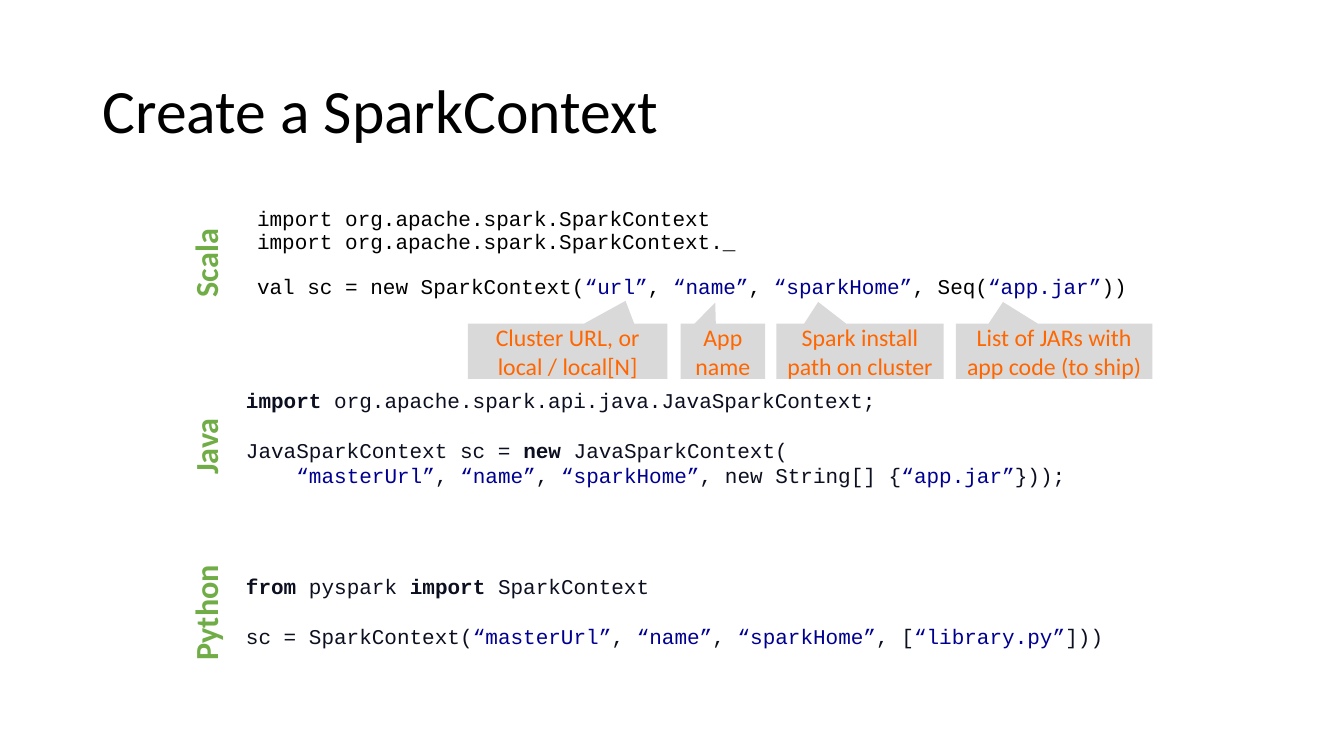
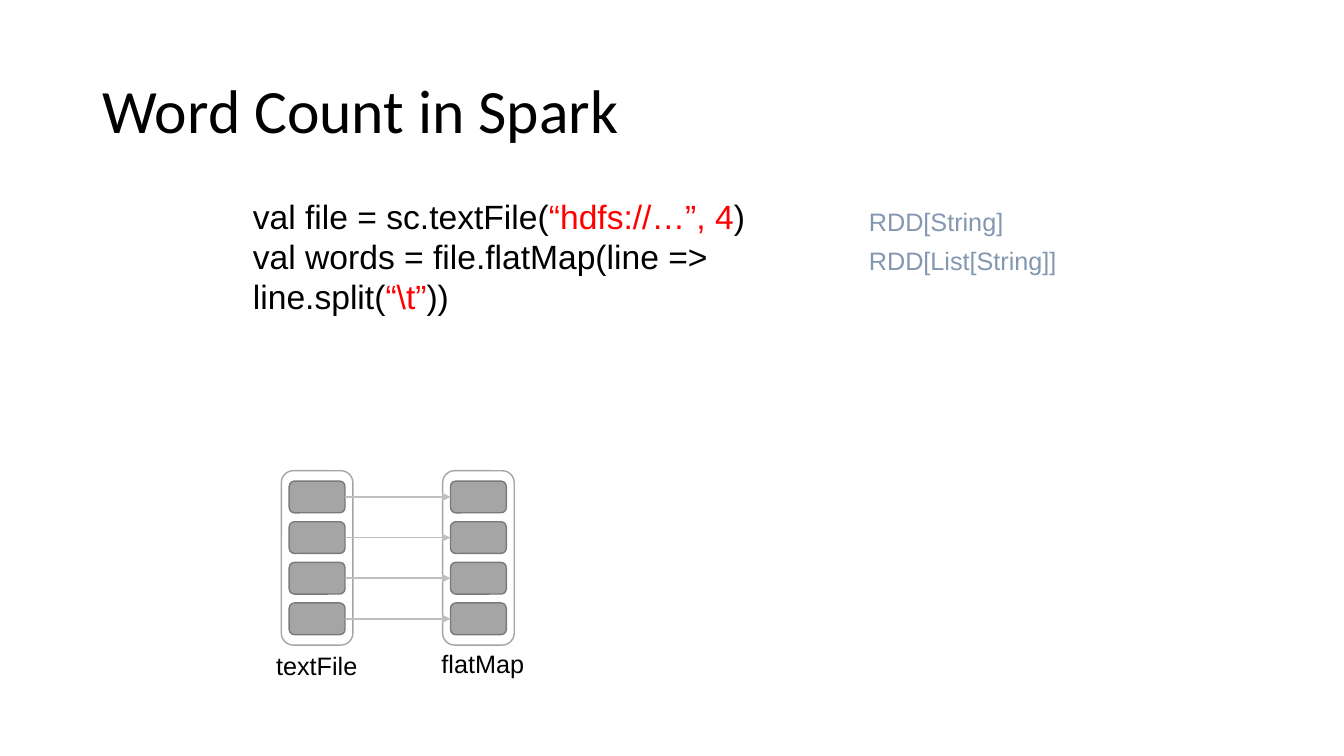
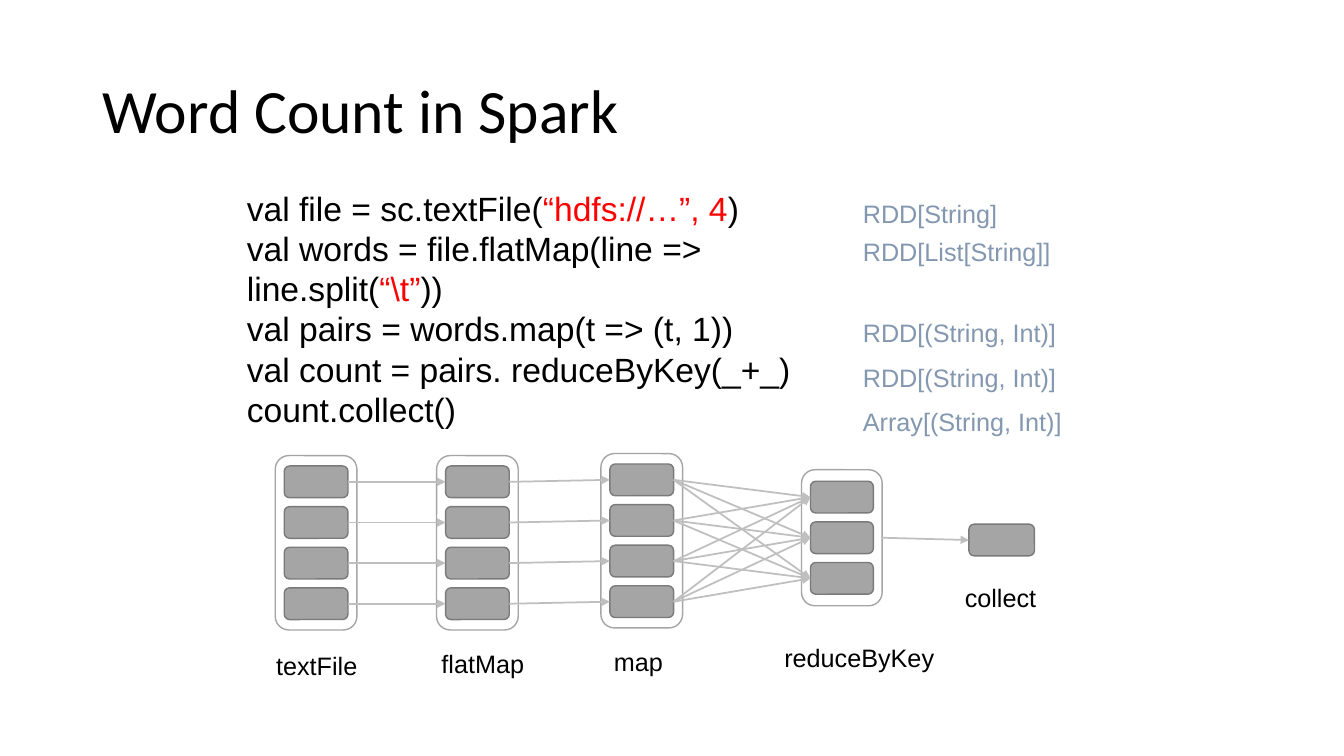
from itertools import product

from lxml.etree import SubElement
from pptx import Presentation
from pptx.dml.color import RGBColor
from pptx.enum.shapes import MSO_CONNECTOR, MSO_SHAPE
from pptx.enum.text import MSO_ANCHOR, PP_ALIGN
from pptx.oxml.ns import qn
from pptx.util import Inches, Pt

WIDTH, HEIGHT = 13.33, 7.5
CELL = HEIGHT / 75  # the slide is a grid of 75 rows of square cells
COLORS = {
    "black": "000000", "ink": "0C0F20", "navy": "000090", "red": "FF0000",
    "green": "70AD47", "orange": "FF6600", "type": "8497B0",
    "callout": "D9D9D9", "frame": "FFFFFF", "block": "A5A5A5",
    "block_line": "7A7A7A", "arrow": "BFBFBF",
}
BLOCK_PITCH, BLOCK_HEIGHT, BLOCK_SHARE = 4.03, 3.15, 0.78
TOP, LEFT, RIGHT = 0, 1, 3

SCALA = [
    ["import org.apache.spark.SparkContext",
     "import org.apache.spark.SparkContext._"],
    ["val sc = new SparkContext(|“url”|, |“name”|, |“sparkHome”|, Seq(|“app.jar”|))"],
]
JAVA = [
    ["|import| org.apache.spark.api.java.JavaSparkContext;"],
    ["JavaSparkContext sc = |new| JavaSparkContext(",
     "    |“masterUrl”|, |“name”|, |“sparkHome”|, new String[] {|“app.jar”|}));"],
]
PYTHON = [
    ["|from| pyspark |import| SparkContext"],
    ["sc = SparkContext(|“masterUrl”|, |“name”|, |“sparkHome”|, [|“library.py”|]))"],
]
CALLOUTS = [  # left, width, pointer, text
    (46.4, 19.8, (0.29, -0.91), "Cluster URL, or local / local[N]"),
    (67.5, 8.4, (-0.09, -0.88), "App name"),
    (77, 16.6, (-0.25, -0.89), "Spark install path on cluster"),
    (94.8, 19.5, (-0.26, -0.89), "List of JARs with app code (to ship)"),
]
WORD_COUNT = [
    "val file = sc.textFile(|“hdfs://…”, 4|)",
    "val words = file.flatMap(line => line.split(|“\\t”|))",
    "val pairs = words.map(t => (t, 1))",
    "val count = pairs. reduceByKey(_+_)",
    "count.collect()",
]
RESULT_TYPES = [  # rows below the top of the code, text
    (1.1, "RDD[String]"), (4.9, "RDD[List[String]]"), (12.9, "RDD[(String, Int)]"),
    (17.4, "RDD[(String, Int)]"), (21.7, "Array[(String, Int)]"),
]
STAGE_LABELS = [  # left, top, text
    (26.4, 64, "textFile"), (42.8, 63.8, "flatMap"), (59.9, 63.6, "map"),
    (76.8, 63.2, "reduceByKey"), (94.7, 57.3, "collect"),
]


def cells(*lengths):
    return [Inches(length * CELL) for length in lengths]


def color(name):
    return RGBColor.from_string(COLORS[name])


def write_line(paragraph, line, font, size, ink, literal, bold):
    """Parts between bars are quoted literals (coloured) or keywords (bold)."""
    for index, part in enumerate(line.split("|")):
        if not part:
            continue
        marked = index % 2 == 1
        quoted = marked and part.startswith("“")
        run = paragraph.add_run()
        run.text = part
        run.font.name, run.font.size = font, Pt(size)
        run.font.bold = bold or (marked and not quoted)
        run.font.color.rgb = color(literal if quoted else ink)


def write(frame, groups, font, size, ink, literal="navy", bold=False,
          align=PP_ALIGN.LEFT, spacing=None, gap=0, margins=(1, 0.5),
          anchor=MSO_ANCHOR.TOP, wrap=True):
    """Each group of lines after the first is set off by the gap, in points."""
    frame.word_wrap, frame.vertical_anchor = wrap, anchor
    frame.margin_left, frame.margin_top = cells(*margins)
    frame.margin_right, frame.margin_bottom = cells(*margins)
    paragraph = None
    for group in groups:
        for number, line in enumerate(group):
            first = paragraph is None
            paragraph = frame.paragraphs[0] if first else frame.add_paragraph()
            paragraph.alignment = align
            if spacing:
                paragraph.line_spacing = spacing
            if number == 0 and not first:
                paragraph.space_before = Pt(gap)
            write_line(paragraph, line, font, size, ink, literal, bold)


def add_text(slide, box, groups, font, size, ink, **style):
    text = slide.shapes.add_textbox(*cells(*box))
    write(text.text_frame, groups, font, size, ink, **style)
    return text


def add_box(slide, kind, box, fill, line=None):
    shape = slide.shapes.add_shape(kind, *cells(*box))
    shape.shadow.inherit = False
    shape.fill.solid()
    shape.fill.fore_color.rgb = color(fill)
    if line:
        shape.line.color.rgb = color(line)
        shape.line.width = Pt(1)
    else:
        shape.line.fill.background()
    return shape


def add_arrow(slide, source, target):
    """Joins the right side of the source to the left side of the target."""
    arrow = slide.shapes.add_connector(MSO_CONNECTOR.STRAIGHT, 0, 0, 0, 0)
    arrow.begin_connect(source, RIGHT)
    arrow.end_connect(target, LEFT)
    arrow.line.color.rgb = color("arrow")
    arrow.line.width = Pt(1.25)
    SubElement(arrow.line._get_or_add_ln(), qn("a:tailEnd"), type="triangle")
    SubElement(arrow._element.spPr, qn("a:effectLst"))


def add_titled_slide(deck, title):
    slide = deck.slides.add_slide(deck.slide_layouts[6])
    add_text(slide, (9.2, 4, 115, 14.5), [[title]], "Calibri", 44, "black",
             spacing=0.9, anchor=MSO_ANCHOR.MIDDLE)
    return slide


def add_language(slide, name, middle, box, code, ink, **style):
    """A code listing with the language's name turned upright on its left."""
    add_text(slide, box, code, "Courier New", 15, ink, margins=(0, 0), **style)
    width, height = 18.4, 4.3
    label = add_text(slide, (20.4 - width / 2, middle - height / 2, width, height),
                     [[name]], "Calibri", 23, "green", bold=True,
                     align=PP_ALIGN.CENTER, margins=(0.4, 0.2))
    label.rotation = 270


def add_callouts(slide, top, height):
    for left, width, pointer, text in CALLOUTS:
        callout = add_box(slide, MSO_SHAPE.RECTANGULAR_CALLOUT,
                          (left, top, width, height), "callout")
        callout.adjustments[0], callout.adjustments[1] = pointer
        write(callout.text_frame, [[text]], "Calibri", 17, "orange",
              align=PP_ALIGN.CENTER, anchor=MSO_ANCHOR.MIDDLE)


def add_block(slide, box):
    return add_box(slide, MSO_SHAPE.ROUNDED_RECTANGLE, box, "block", "block_line")


def add_stage(slide, box, count):
    """A frame with a centred column of blocks."""
    left, top, width, height = box
    frame = add_box(slide, MSO_SHAPE.ROUNDED_RECTANGLE, box, "frame", "block")
    block_width = width * BLOCK_SHARE
    first_left = left + (width - block_width) / 2
    first_top = top + (height - (count - 1) * BLOCK_PITCH - BLOCK_HEIGHT) / 2
    blocks = [add_block(slide, (first_left, first_top + row * BLOCK_PITCH,
                                block_width, BLOCK_HEIGHT))
              for row in range(count)]
    return frame, blocks


def add_word_count(slide, left, top, steps):
    """The first steps of the program, with the type each one gives."""
    add_text(slide, (left, top, 56.5, 25.2), [WORD_COUNT[:steps]],
             "Arial", 24, "black", literal="red")
    for row, text in RESULT_TYPES[:steps]:
        add_text(slide, (left + 61.1, top + row, 27, 4), [[text]],
                 "Arial", 18, "type")


def add_stage_labels(slide, count):
    for left, top, text in STAGE_LABELS[:count]:
        add_text(slide, (left, top, 17.2, 4), [[text]], "Arial", 18, "black")


def link_rows(slide, sources, targets):
    for source, target in zip(sources, targets):
        add_arrow(slide, source, target)


def build_context_slide(deck):
    slide = add_titled_slide(deck, "Create a SparkContext")
    add_language(slide, "Scala", 26.1, (25.5, 20.7, 88, 10), SCALA, "black",
                 spacing=0.9, gap=16)
    add_callouts(slide, 32.1, 5.5)
    add_language(slide, "Java", 44.3, (24.4, 38.4, 90, 16), JAVA, "ink", gap=18)
    add_language(slide, "Python", 60.8, (24.4, 56.9, 90, 12.6), PYTHON, "ink", gap=18)


def build_two_stage_slide(deck):
    slide = add_titled_slide(deck, "Word Count in Spark")
    add_word_count(slide, 24.1, 18.9, 2)
    lines, words = [add_stage(slide, (left, 46.7, 7.1, 17.3), 4)[1]
                    for left in (27.9, 43.9)]
    link_rows(slide, lines, words)
    add_stage_labels(slide, 2)


def build_full_slide(deck):
    slide = add_titled_slide(deck, "Word Count in Spark")
    add_word_count(slide, 23.5, 18.1, 5)
    lines, words, pairs = [add_stage(slide, (left, top, 8.1, 17.3), 4)[1]
                           for left, top in ((27.3, 45.2), (43.3, 45.2), (59.6, 45))]
    counts_frame, counts = add_stage(slide, (79.5, 46.6, 8, 13.5), 3)
    collected = add_block(slide, (96.1, 52, 6.5, BLOCK_HEIGHT))
    link_rows(slide, lines, words)
    link_rows(slide, words, pairs)
    for pair, count in product(pairs, counts):
        add_arrow(slide, pair, count)
    add_arrow(slide, counts_frame, collected)
    add_stage_labels(slide, 5)


def main():
    deck = Presentation()
    deck.slide_width, deck.slide_height = Inches(WIDTH), Inches(HEIGHT)
    build_context_slide(deck)
    build_two_stage_slide(deck)
    build_full_slide(deck)
    deck.save("out.pptx")


if __name__ == "__main__":
    main()
